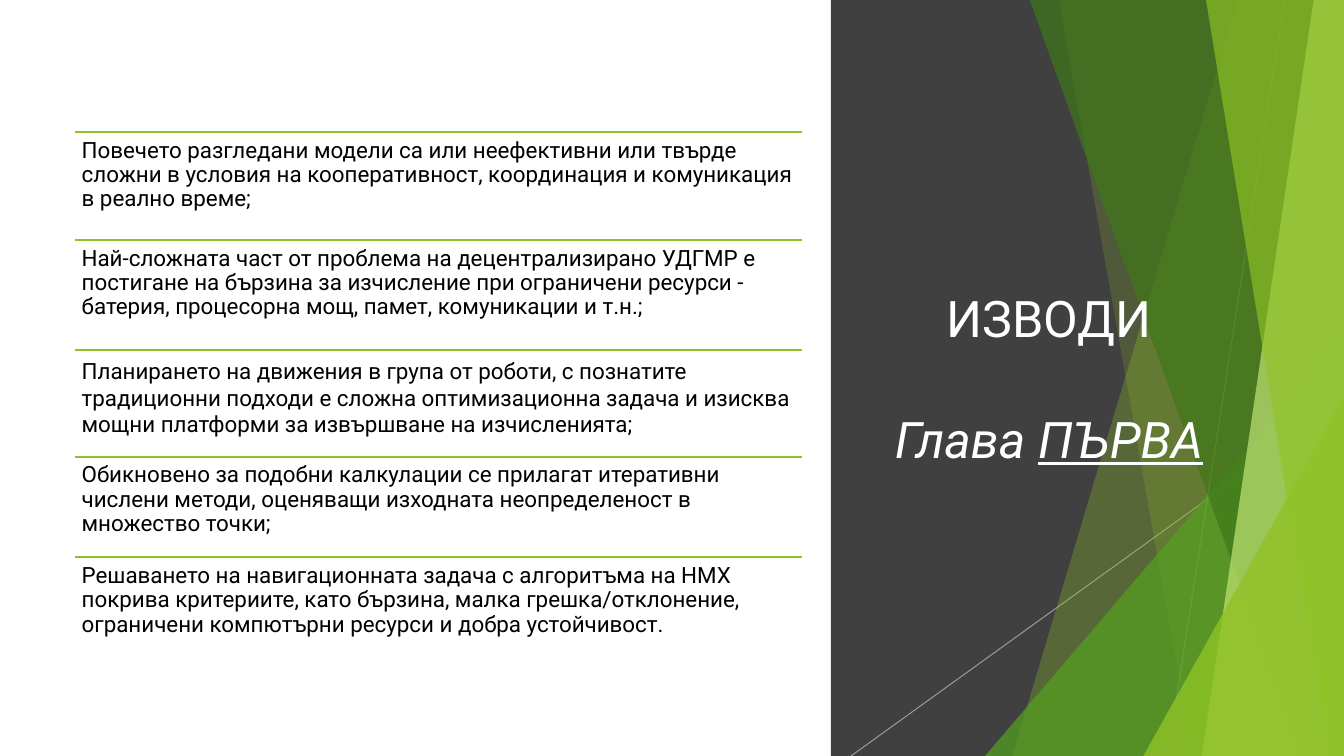
from lxml import etree
from pptx import Presentation
from pptx.dml.color import RGBColor
from pptx.enum.shapes import MSO_CONNECTOR, MSO_SHAPE
from pptx.enum.text import MSO_ANCHOR, PP_ALIGN
from pptx.oxml.ns import qn
from pptx.util import Inches, Pt

STRAIGHT = MSO_CONNECTOR.STRAIGHT
RECTANGLE = MSO_SHAPE.RECTANGLE
TRIANGLE = MSO_SHAPE.ISOSCELES_TRIANGLE
MIDDLE, TOP = MSO_ANCHOR.MIDDLE, MSO_ANCHOR.TOP
CENTER, LEFT = PP_ALIGN.CENTER, PP_ALIGN.LEFT

FONT = "Roboto"
COLORS = {
    "panel": "404040", "ray": "BFBFBF", "lime": "90C226", "green": "54A021",
    "forest": "3F7819", "pale": "C0E474", "text": "000000", "title": "FFFFFF",
}
WIDTH, HEIGHT = 13.33, 7.5
PANEL_LEFT = 8.24
LIST_LEFT, LIST_WIDTH, LIST_INSET = 0.74, 7.21, 0.07

CONCLUSIONS = [
    (1.31, 1.06, 0.9, "Повечето разгледани модели са или неефективни или твърде сложни в условия на кооперативност, координация и комуникация в реално време;"),
    (2.38, 1.09, 0.9, "Най-сложната част от проблема на децентрализирано УДГМР е постигане на бързина за изчисление при ограничени ресурси - батерия, процесорна мощ, памет, комуникации и т.н.;"),
    (3.47, 1.06, 1.0, "Планирането на движения в група от роботи, с познатите традиционни подходи е сложна оптимизационна задача и изисква мощни платформи за извършване на изчисленията;"),
    (4.53, 1.0, 0.9, "Обикновено за подобни калкулации се прилагат итеративни числени методи, оценяващи изходната неопределеност в множество точки;"),
    (5.53, 1.0, 0.9, "Решаването на навигационната задача с алгоритъма на НМХ покрива критериите, като бързина, малка грешка/отклонение, ограничени компютърни ресурси и добра устойчивост."),
]
TITLE = [
    [("ИЗВОДИ", False, False)],
    [("Глава ", True, False), ("ПЪРВА", True, True)],
]
RAYS = [((12.74, 0), (11.58, HEIGHT)), ((13.2, 4.07), (8.44, HEIGHT))]
FACETS = [
    ("band", 12.28, 10.04, "lime", 30),
    ("band", 10.5, 11.83, "lime", 20),
    ("corner", 9.77, 3.33, "green", 72),
    ("band", 10.21, 12.91, "forest", 70),
    ("band", 13.03, 11.92, "pale", 70),
    ("band", 11.96, 13.18, "lime", 65),
    ("corner", 11.34, 3.93, "lime", 80),
]

prs = Presentation()
prs.slide_width, prs.slide_height = Inches(WIDTH), Inches(HEIGHT)
shapes = prs.slides.add_slide(prs.slide_layouts[6]).shapes


def set_alpha(fill_parent, percent):
    color = fill_parent.find(".//" + qn("a:srgbClr"))
    etree.SubElement(color, qn("a:alpha")).set("val", str(percent * 1000))


def paint(shape, color, opacity=100):
    shape.shadow.inherit = False
    shape.fill.solid()
    shape.fill.fore_color.rgb = RGBColor.from_string(COLORS[color])
    shape.line.fill.background()
    if opacity < 100:
        set_alpha(shape._element.spPr, opacity)


def add_line(start, end, color, weight, opacity=100):
    line = shapes.add_connector(STRAIGHT, *map(Inches, start + end))
    line.line.color.rgb = RGBColor.from_string(COLORS[color])
    line.line.width = Pt(weight)
    properties = line._element.spPr
    if opacity < 100:
        set_alpha(properties, opacity)
    etree.SubElement(properties, qn("a:effectLst"))


def add_text(box, anchor):
    frame = shapes.add_textbox(*map(Inches, box)).text_frame
    frame.word_wrap = True
    frame.vertical_anchor = anchor
    return frame


def add_run(paragraph, text, size, color, italic=False, underline=False):
    run = paragraph.add_run()
    run.text = text
    run.font.name = FONT
    run.font.size = Pt(size)
    run.font.color.rgb = RGBColor.from_string(COLORS[color])
    if italic:
        run.font.italic = True
    if underline:
        run.font.underline = True


for top, height, spacing, conclusion in CONCLUSIONS:
    add_line((LIST_LEFT, top), (LIST_LEFT + LIST_WIDTH, top), "lime", 1.5)
    frame = add_text((LIST_LEFT, top, LIST_WIDTH, height), TOP)
    frame.margin_left = frame.margin_right = Inches(LIST_INSET)
    frame.margin_top = frame.margin_bottom = Inches(LIST_INSET)
    paragraph = frame.paragraphs[0]
    paragraph.alignment = LEFT
    paragraph.line_spacing = spacing
    add_run(paragraph, conclusion, 16, "text")

panel = shapes.add_shape(
    RECTANGLE, Inches(PANEL_LEFT), 0, Inches(WIDTH - PANEL_LEFT), Inches(HEIGHT))
paint(panel, "panel")

for start, end in RAYS:
    add_line(start, end, "ray", 0.75, 70)

for kind, first, second, color, opacity in FACETS:
    if kind == "band":
        outline = shapes.build_freeform(Inches(first), Inches(-0.01))
        corners = [(WIDTH, -0.01), (WIDTH, HEIGHT), (second, HEIGHT)]
        outline.add_line_segments([(Inches(x), Inches(y)) for x, y in corners])
        facet = outline.convert_to_shape()
    else:
        facet = shapes.add_shape(
            TRIANGLE, Inches(first), Inches(second),
            Inches(WIDTH - first), Inches(HEIGHT - second))
        facet.adjustments[0] = 1
    paint(facet, color, opacity)

title = add_text((8.56, 1.37, 3.69, 4.76), MIDDLE)
for index, runs in enumerate(TITLE):
    paragraph = title.add_paragraph() if index else title.paragraphs[0]
    paragraph.alignment = CENTER
    if index:
        paragraph.space_before = Pt(43)
    for text, italic, underline in runs:
        add_run(paragraph, text, 36, "title", italic, underline)

prs.save("out.pptx")
